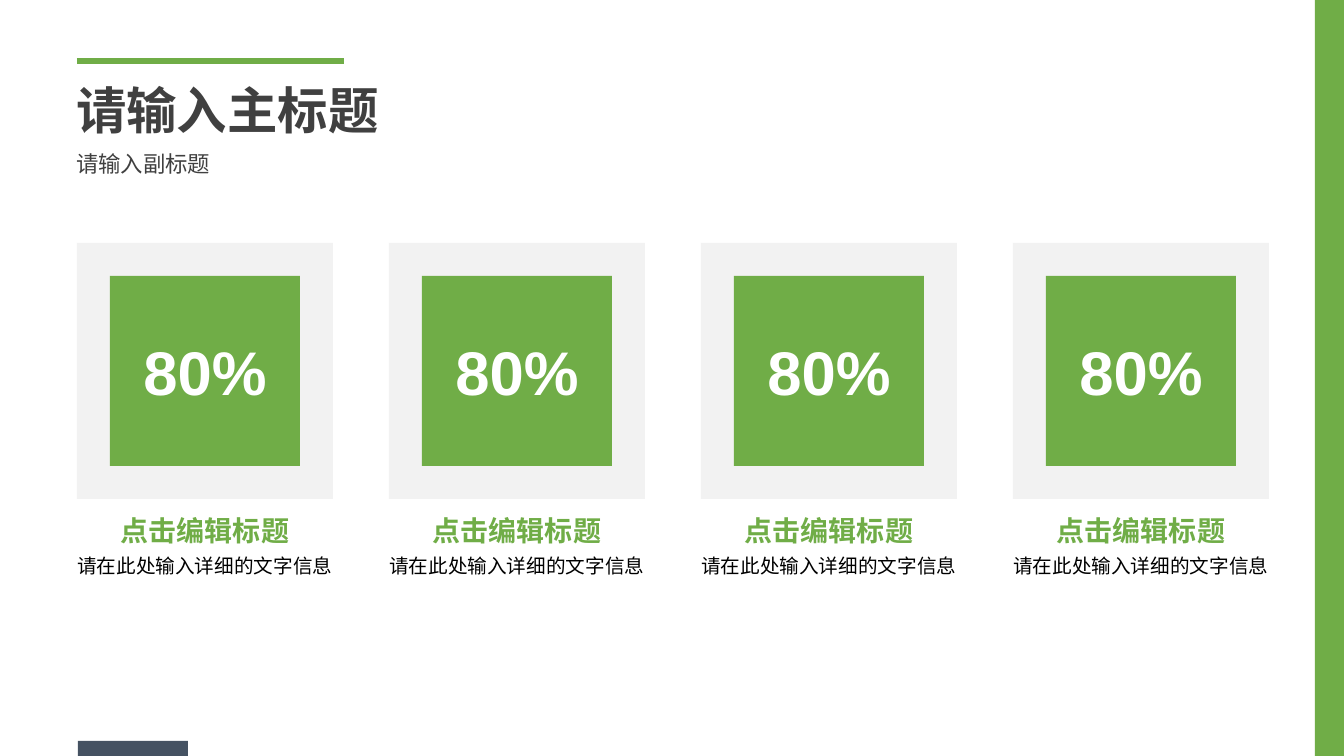
"""Build a slide with four percentage cards under a main title and subtitle."""
import pptx
import pptx.dml.color
import pptx.enum.shapes
import pptx.enum.text
import pptx.oxml.ns
import pptx.util
from lxml import etree

TITLE = "请输入主标题"
SUBTITLE = "请输入副标题"
CARDS = [("80%", "点击编辑标题", "请在此处输入详细的文字信息")] * 4

COLORS = {
    "green": "70AD47",
    "panel": "F2F2F2",
    "slate": "455262",
    "heading": "404040",
    "white": "FFFFFF",
    "black": "000000",
}
CJK_FONT = "Noto Sans CJK SC"
LEFT = pptx.enum.text.PP_ALIGN.LEFT
CENTER = pptx.enum.text.PP_ALIGN.CENTER
STYLES = {
    "title": ({"name": "Arial", "size": 36, "bold": True}, "heading", LEFT),
    "subtitle": ({"name": "Arial", "size": 16, "bold": False}, "heading", LEFT),
    "number": ({"name": "Arial", "size": 44, "bold": True}, "white", CENTER),
    "label": ({"name": CJK_FONT, "size": 20, "bold": True}, "green", CENTER),
    "detail": ({"name": CJK_FONT, "size": 14, "bold": False}, "black", CENTER),
}
CARD_TEXT_ROWS = [("number", 329, 145, 85), ("label", 509, 190, 44), ("detail", 549, 279, 34)]

EMU_PER_PX = 914400 / 100.8
SLIDE_WIDTH, SLIDE_HEIGHT = 1344, 756
CARD_LEFT, CARD_TOP, CARD_PITCH = 77, 243, 312
PANEL_SIZE, TILE_SIZE = 256, 190
TILE_INSET = (PANEL_SIZE - TILE_SIZE) // 2


def px(*lengths):
    return [pptx.util.Emu(round(length * EMU_PER_PX)) for length in lengths]


def rgb(color):
    return pptx.dml.color.RGBColor.from_string(COLORS[color])


def add_block(page, color, *bounds):
    block = page.shapes.add_shape(pptx.enum.shapes.MSO_SHAPE.RECTANGLE, *px(*bounds))
    block.shadow.inherit = False
    block.fill.solid()
    block.fill.fore_color.rgb = rgb(color)
    block.line.fill.background()


def write_text(box, text, style):
    values, color, alignment = STYLES[style]
    frame = box.text_frame
    frame_values = {
        "word_wrap": False,
        "auto_size": pptx.enum.text.MSO_AUTO_SIZE.NONE,
        "vertical_anchor": pptx.enum.text.MSO_ANCHOR.TOP,
    }
    for name, value in frame_values.items():
        setattr(frame, name, value)
    para = frame.paragraphs[0]
    para.alignment = alignment
    para.space_before = pptx.util.Pt(0)
    span = para.add_run()
    span.text = text
    for name, value in values.items():
        setattr(span.font, name, pptx.util.Pt(value) if name == "size" else value)
    span.font.color.rgb = rgb(color)
    east_asian = etree.SubElement(span.font._element, pptx.oxml.ns.qn("a:ea"))
    east_asian.set("typeface", CJK_FONT)


def fill_placeholder(box, text, style, *bounds):
    for name, value in zip(("left", "top", "width", "height"), px(*bounds)):
        setattr(box, name, value)
    write_text(box, text, style)


def add_title_rule(page):
    rule = page.shapes.add_connector(
        pptx.enum.shapes.MSO_CONNECTOR.STRAIGHT, *px(77, 61, 344, 61)
    )
    rule.line.color.rgb = rgb("green")
    rule.line.width = pptx.util.Pt(4.75)
    etree.SubElement(rule._element.spPr, pptx.oxml.ns.qn("a:effectLst"))


def add_card(page, left, texts):
    add_block(page, "panel", left, CARD_TOP, PANEL_SIZE, PANEL_SIZE)
    add_block(page, "green", left + TILE_INSET, CARD_TOP + TILE_INSET, TILE_SIZE, TILE_SIZE)
    center = left + PANEL_SIZE / 2
    for text, (style, top, width, height) in zip(texts, CARD_TEXT_ROWS):
        box = page.shapes.add_textbox(*px(center - width / 2, top, width, height))
        write_text(box, text, style)


def main():
    deck = pptx.Presentation()
    deck.slide_width, deck.slide_height = px(SLIDE_WIDTH, SLIDE_HEIGHT)
    page = deck.slides.add_slide(deck.slide_layouts[0])
    fill_placeholder(page.shapes.title, TITLE, "title", 66, 74, 326, 72)
    fill_placeholder(page.placeholders[1], SUBTITLE, "subtitle", 66, 145, 156, 37)
    add_title_rule(page)
    add_block(page, "slate", 78, 741, 110, 15)
    add_block(page, "green", 1315, 0, 29, SLIDE_HEIGHT)
    for index, texts in enumerate(CARDS):
        add_card(page, CARD_LEFT + index * CARD_PITCH, texts)
    deck.save("out.pptx")


if __name__ == "__main__":
    main()
